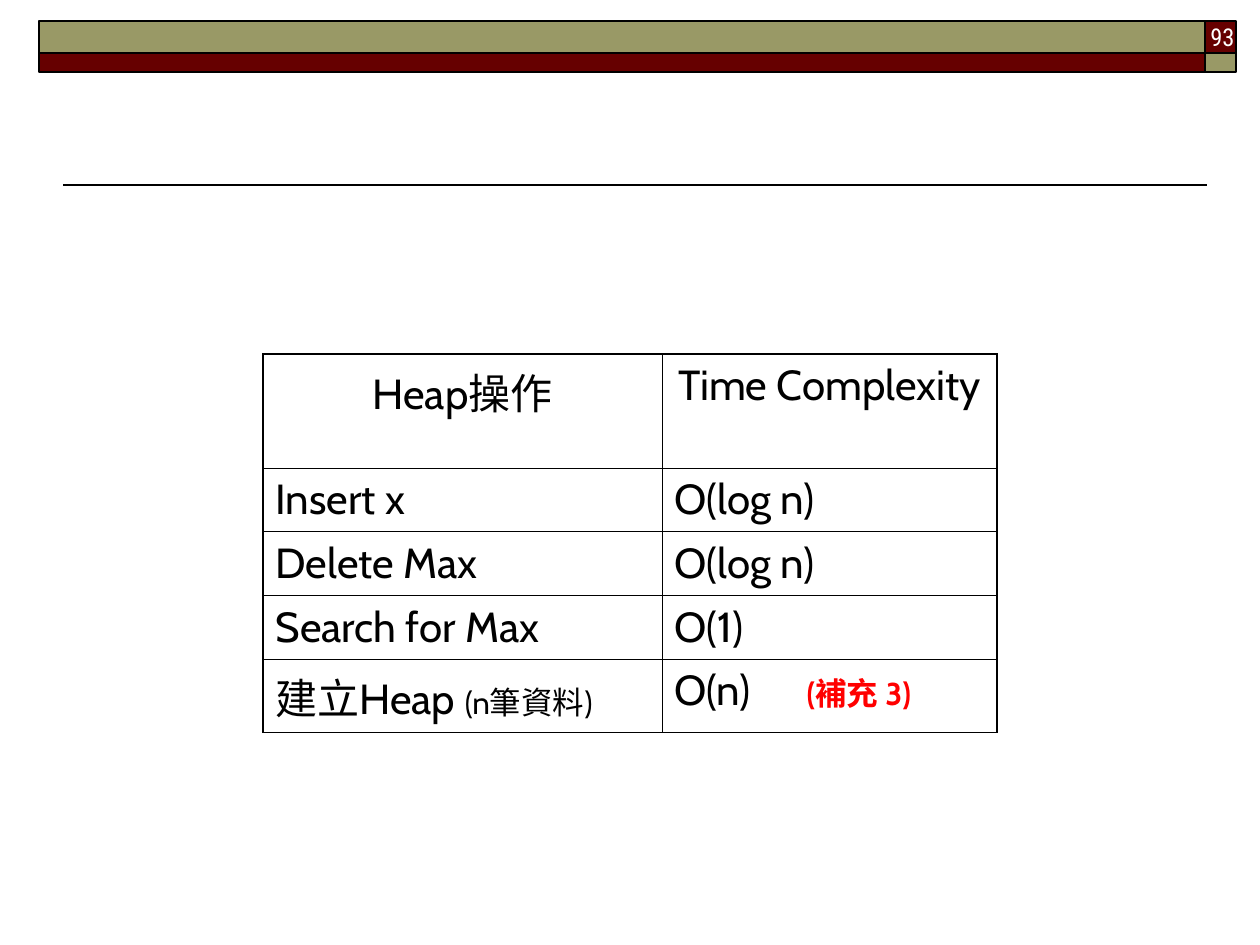
import pptx
import pptx.util
import pptx.dml.color
import pptx.enum.shapes
import pptx.enum.text
import pptx.oxml
import pptx.oxml.ns

RGB = pptx.dml.color.RGBColor
BLACK = RGB(0x00, 0x00, 0x00)
WHITE = RGB(0xFF, 0xFF, 0xFF)
RED = RGB(0xFF, 0x00, 0x00)
WINE = RGB(0x66, 0x00, 0x00)
OLIVE = RGB(0x99, 0x99, 0x66)
ALIGN = pptx.enum.text.PP_ALIGN
SCALE = 914400 / 126
THIN, THICK = 0.45, 1.08
NOTE_TAB = 132


def emu(px):
    return pptx.util.Emu(round(px * SCALE))


def add_xml(parent, tag, body="", **attrs):
    text = " ".join(f'{key}="{val}"' for key, val in attrs.items())
    space = pptx.oxml.ns.nsdecls("a")
    parent.append(pptx.oxml.parse_xml(f"<a:{tag} {space} {text}>{body}</a:{tag}>"))


class Deck:
    def __init__(self, wide, high):
        self.show = pptx.Presentation()
        self.show.slide_width, self.show.slide_height = emu(wide), emu(high)
        self.slide = self.show.slides.add_slide(self.show.slide_layouts[6])
        self.face = "Cabin"
        self.size = 24

    def style(self, font, size=None, color=BLACK, face=None):
        font.name = face or self.face
        font.size = pptx.util.Pt(size or self.size)
        font.color.rgb = color

    def rect(self, x, y, w, h, color):
        kind = pptx.enum.shapes.MSO_SHAPE.RECTANGLE
        box = self.slide.shapes.add_shape(kind, emu(x), emu(y), emu(w), emu(h))
        box.shadow.inherit = False
        box.fill.solid()
        box.fill.fore_color.rgb = color
        box.line.color.rgb = BLACK
        box.line.width = pptx.util.Pt(1)

    def rule(self, x, y, end):
        kind = pptx.enum.shapes.MSO_CONNECTOR.STRAIGHT
        line = self.slide.shapes.add_connector(kind, emu(x), emu(y), emu(end), emu(y))
        line.line.color.rgb = BLACK
        line.line.width = pptx.util.Pt(1)
        add_xml(line._element.spPr, "effectLst")

    def text(self, x, y, w, h, words, size, color, face):
        box = self.slide.shapes.add_textbox(emu(x), emu(y), emu(w), emu(h))
        box.text_frame.word_wrap = True
        para = box.text_frame.paragraphs[0]
        para.text = words
        para.alignment = ALIGN.RIGHT
        self.style(para.font, size, color, face)

    def edge(self, cell, sides):
        """Draw the cell borders; sides maps L, R, T and B to points."""
        props = cell._tc.get_or_add_tcPr()
        fill = f'<a:solidFill><a:srgbClr val="{BLACK}"/></a:solidFill>'
        for side, width in sides.items():
            add_xml(props, "ln" + side, fill, w=pptx.util.Pt(width))

    def table(self, x, y, cols, rows, data):
        frame = self.slide.shapes.add_table(
            len(rows), len(cols), emu(x), emu(y), emu(sum(cols)), emu(sum(rows)))
        grid = frame.table
        grid.first_row = grid.horz_banding = False
        for col, width in zip(grid.columns, cols):
            col.width = emu(width)
        for row, height in zip(grid.rows, rows):
            row.height = emu(height)
        last, end = len(rows) - 1, len(cols) - 1
        for r, line in enumerate(data):
            for c, words in enumerate(line):
                cell = grid.cell(r, c)
                outer = {"L": c == 0, "R": c == end, "T": r == 0, "B": r == last}
                self.edge(cell, {s: THICK if out else THIN for s, out in outer.items()})
                cell.fill.background()
                para = cell.text_frame.paragraphs[0]
                para.text = words
                if r == 0:
                    para.alignment = ALIGN.CENTER
                if "\t" in words:
                    stop = f'<a:tab pos="{emu(NOTE_TAB)}" algn="l"/>'
                    add_xml(para._p.get_or_add_pPr(), "tabLst", stop)
                self.style(para.font)
        return grid

    def note(self, cell, words, color=BLACK, bold=None):
        """Add a smaller remark after the text of a cell."""
        run = cell.text_frame.paragraphs[0].add_run()
        run.text = words
        run.font.size = pptx.util.Pt(18)
        run.font.color.rgb = color
        run.font.bold = bold


def main():
    deck = Deck(1260, 945)
    left, split, top, mid = 39, 1205, 21, 53
    wide, side, low = split - left, 31, 19
    deck.rect(split, top, side, mid - top, WINE)
    deck.rule(1207, 185, 63)
    deck.rect(left, top, wide, mid - top, OLIVE)
    deck.rect(left, mid, wide, low, WINE)
    deck.rect(split, mid, side, low, OLIVE)

    data = [
        ("Heap操作", "Time Complexity"),
        ("Insert x", "O(log n)"),
        ("Delete Max", "O(log n)"),
        ("Search for Max", "O(1)"),
        ("建立Heap ", "O(n)\t"),
    ]
    grid = deck.table(263, 354, [399, 335], [114] + [63] * 4, data)
    deck.note(grid.cell(4, 0), "(n筆資料)")
    deck.note(grid.cell(4, 1), "(補充 3)", RED, True)
    deck.text(985, 16, 262, 40, "93", 14, WHITE, "Roboto Condensed")
    deck.show.save("out.pptx")


if __name__ == "__main__":
    main()
